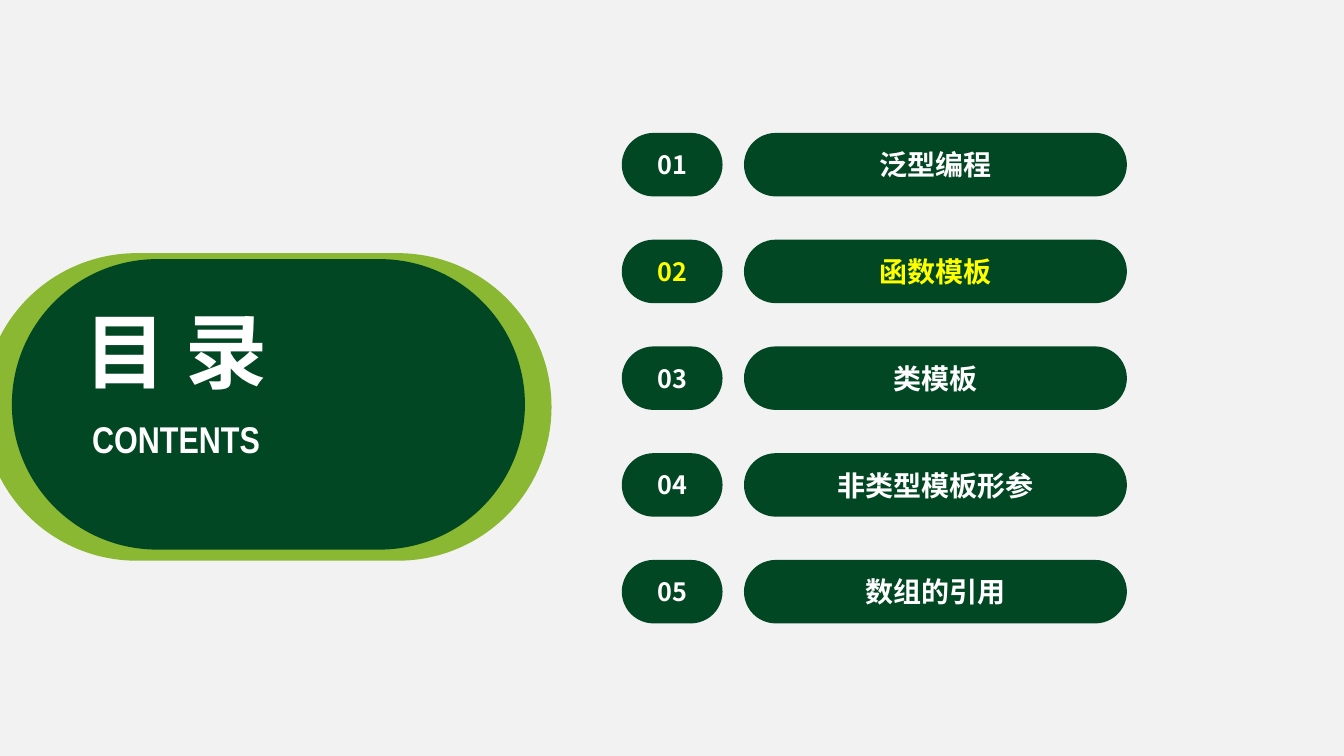
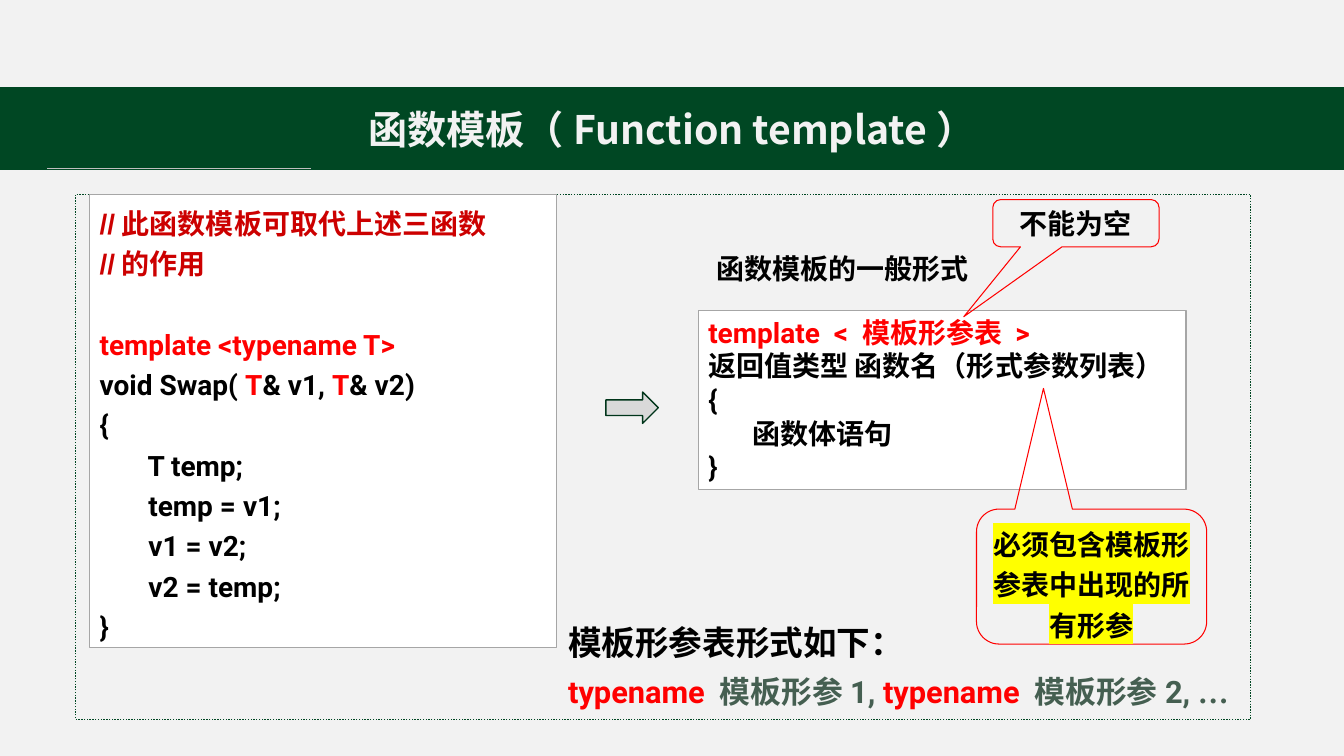
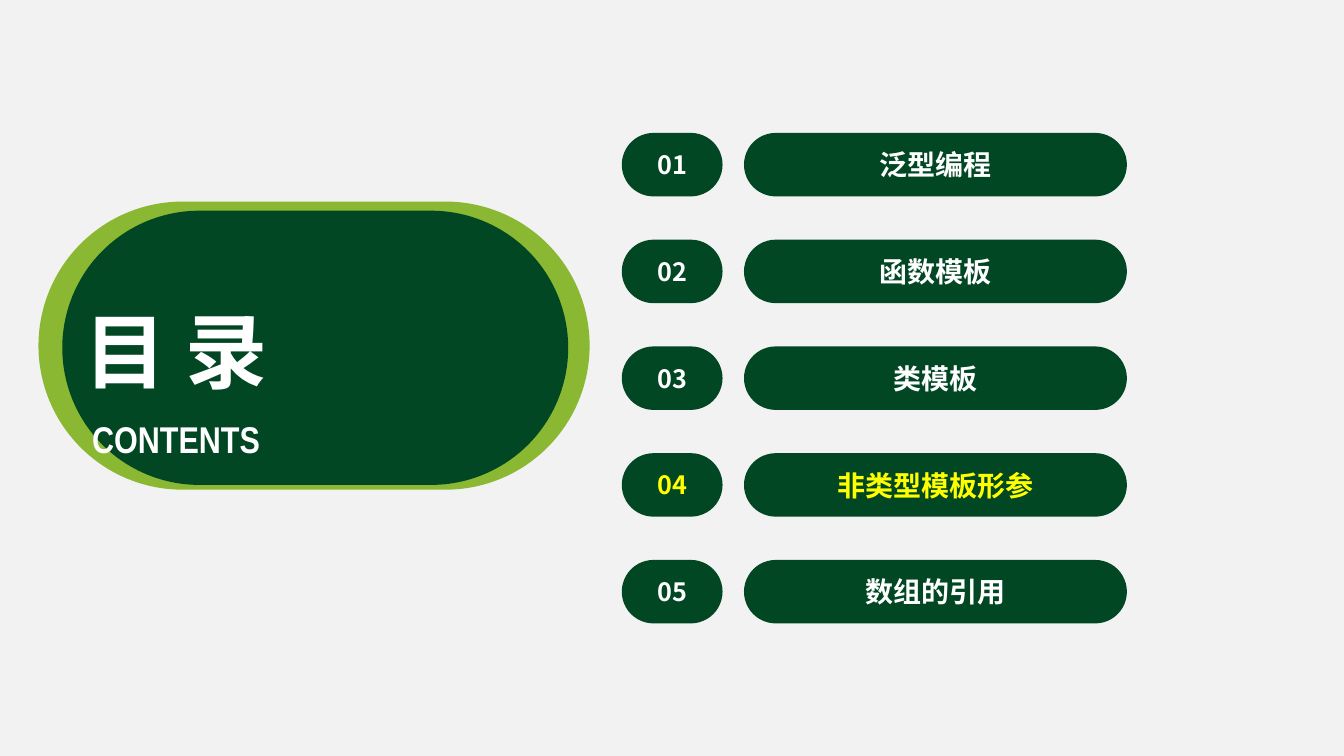
from dataclasses import dataclass

from lxml.etree import SubElement
from pptx import Presentation
from pptx.dml.color import RGBColor
from pptx.enum.dml import MSO_LINE
from pptx.enum.shapes import MSO_CONNECTOR, MSO_SHAPE
from pptx.enum.text import MSO_ANCHOR, MSO_AUTO_SIZE, PP_ALIGN
from pptx.oxml.ns import qn
from pptx.util import Cm, Pt

PAPER, WHITE, BLACK = "F2F2F2", "FFFFFF", "000000"
PILL, BAND, LIME = "014723", "004723", "8AB833"
RED, DARK_RED, YELLOW, SAGE = "FF0000", "CC0000", "FFFF00", "455F51"
GREY = "A6A6A6"
CJK = "Noto Sans CJK SC"
SLIDE_W, SLIDE_H = 33.87, 19.05
TOPICS = ("泛型编程", "函数模板", "类模板", "非类型模板形参", "数组的引用")


@dataclass(frozen=True)
class Box:
    """Position and size in centimetres."""
    x: float
    y: float
    w: float
    h: float

    def lengths(self) -> tuple:
        return Cm(self.x), Cm(self.y), Cm(self.w), Cm(self.h)


@dataclass(frozen=True)
class Run:
    text: str
    color: str = BLACK
    size: float = 20
    font: str = "Roboto"
    highlight: str = ""


@dataclass(frozen=True)
class Para:
    runs: tuple
    before: float = 0


@dataclass(frozen=True)
class Outline:
    color: str
    width: float
    dash: MSO_LINE | None = None


@dataclass(frozen=True)
class Agenda:
    """An agenda slide: the current topic and the two big ovals."""
    current: int
    outer: Box
    inner: Box


AGENDA_FUNCTION = Agenda(2, Box(-0.43, 6.38, 14.33, 7.75), Box(0.3, 6.53, 12.93, 7.32))
AGENDA_NONTYPE = Agenda(4, Box(0.97, 5.08, 13.89, 7.26), Box(1.57, 5.31, 12.75, 6.91))


def rgb(color: str) -> RGBColor:
    return RGBColor.from_string(color)


def line(*runs: Run, before: float = 0) -> Para:
    return Para(runs, before)


def add_run(p, run: Run) -> None:
    r = p.add_run()
    r.text = run.text
    r.font.size = Pt(run.size)
    r.font.bold = True
    r.font.color.rgb = rgb(run.color)
    r.font.name = run.font
    rPr = r.font._element
    SubElement(rPr, qn("a:ea")).set("typeface", CJK)
    if run.highlight:
        mark = SubElement(rPr, qn("a:highlight"))
        SubElement(mark, qn("a:srgbClr")).set("val", run.highlight)
        rPr.find(qn("a:latin")).addprevious(mark)


def write(sp, paras: list, align=PP_ALIGN.LEFT, anchor=MSO_ANCHOR.TOP,
          spacing: float = 1.0, wrap: bool = True) -> None:
    tf = sp.text_frame
    tf.word_wrap = wrap
    tf.auto_size = MSO_AUTO_SIZE.NONE
    tf.vertical_anchor = anchor
    for i, para in enumerate(paras):
        p = tf.add_paragraph() if i else tf.paragraphs[0]
        p.alignment = align
        p.line_spacing = spacing
        if para.before:
            p.space_before = Pt(para.before)
        for run in para.runs:
            add_run(p, run)


def paint(sp, fill: str | None, outline: Outline | None) -> None:
    if fill:
        sp.fill.solid()
        sp.fill.fore_color.rgb = rgb(fill)
    else:
        sp.fill.background()
    if outline:
        sp.line.color.rgb = rgb(outline.color)
        sp.line.width = Pt(outline.width)
        if outline.dash:
            sp.line.dash_style = outline.dash
    else:
        sp.line.fill.background()


def add_shape(slide, kind, box: Box, fill: str | None = None,
              outline: Outline | None = None, adjust: tuple = ()):
    sp = slide.shapes.add_shape(kind, *box.lengths())
    sp.shadow.inherit = False
    paint(sp, fill, outline)
    for i, value in enumerate(adjust):
        sp.adjustments[i] = value
    return sp


def add_pill(slide, box: Box, fill: str = PILL):
    return add_shape(slide, MSO_SHAPE.ROUNDED_RECTANGLE, box, fill, adjust=(0.5,))


def add_callout(slide, box: Box, tip: tuple, run: Run, spacing: float = 1.0) -> None:
    sp = add_shape(slide, MSO_SHAPE.ROUNDED_RECTANGULAR_CALLOUT, box,
                   outline=Outline(RED, 0.75), adjust=(*tip, 0.167))
    write(sp, [line(run)], PP_ALIGN.CENTER, spacing=spacing)


def add_text(slide, box: Box, paras: list, **style) -> None:
    write(slide.shapes.add_textbox(*box.lengths()), paras, **style)


def place_title(slide, box: Box, run: Run, anchor=MSO_ANCHOR.TOP, wrap: bool = True):
    """Fill the title placeholder and bring it in front of the shapes drawn so far."""
    sp = slide.shapes.title
    sp.left, sp.top, sp.width, sp.height = box.lengths()
    slide.shapes._spTree.append(sp._element)
    write(sp, [line(run)], PP_ALIGN.CENTER, anchor, wrap=wrap)
    return sp


def new_slide(prs):
    return prs.slides.add_slide(prs.slide_layouts.get_by_name("Title Only"))


def build_agenda(prs, agenda: Agenda) -> None:
    slide = new_slide(prs)
    add_pill(slide, agenda.outer, LIME)
    add_pill(slide, agenda.inner)
    top, pitch, height = 3.35, 2.69, 1.6
    for number, topic in enumerate(TOPICS, 1):
        y = top + (number - 1) * pitch
        color = YELLOW if number == agenda.current else WHITE
        for x, w, text, size in ((15.67, 2.54, f"{number:02}", 18),
                                 (18.75, 9.65, topic, 20)):
            sp = add_pill(slide, Box(x, y, w, height))
            write(sp, [line(Run(text, color, size, CJK))],
                  PP_ALIGN.CENTER, MSO_ANCHOR.MIDDLE)
    add_text(slide, Box(1.57, 10.36, 5.74, 1.4),
             [line(Run("CONTENTS", WHITE, 26.6, "Arial Narrow"))],
             align=PP_ALIGN.CENTER, wrap=False)
    place_title(slide, Box(1.78, 7.44, 5.31, 2.77),
                Run("目 录", WHITE, 58.6, CJK), wrap=False)


def add_header(slide, title: str) -> None:
    add_shape(slide, MSO_SHAPE.RECTANGLE, Box(0, 0, SLIDE_W, 2.21), PAPER)
    band = place_title(slide, Box(0, 2.21, SLIDE_W, 2.06),
                       Run(title, PAPER, 28, CJK), MSO_ANCHOR.MIDDLE)
    paint(band, BAND, Outline(BAND, 1))
    rule = slide.shapes.add_connector(MSO_CONNECTOR.STRAIGHT,
                                      Cm(1.19), Cm(4.24), Cm(7.85), Cm(4.24))
    rule.line.color.rgb = rgb("BFBFBF")
    rule.line.width = Pt(0.5)
    SubElement(rule._element.spPr, qn("a:effectLst"))


def build_function_template(prs) -> None:
    slide = new_slide(prs)
    add_header(slide, "函数模板（Function template）")
    add_shape(slide, MSO_SHAPE.RECTANGLE, Box(1.9, 4.9, 29.62, 13.23),
              outline=Outline(BAND, 1, MSO_LINE.ROUND_DOT))

    code = add_shape(slide, MSO_SHAPE.RECTANGLE, Box(2.26, 4.9, 11.76, 11.43),
                     WHITE, Outline(GREY, 0.75))
    type_param = Run("T", RED)
    body = ("{", "       T temp;", "       temp = v1;", "       v1 = v2;",
            "       v2 = temp;", "}")
    write(code, [
        line(Run("//此函数模板可取代上述三函数", DARK_RED, font="Arial")),
        line(Run("//的作用", DARK_RED, font="Arial")),
        line(Run("template <typename T>", RED), before=29),
        line(Run("void Swap( "), type_param, Run("& v1, "), type_param, Run("& v2)")),
        *(line(Run(text)) for text in body),
    ], spacing=1.2)

    form = add_shape(slide, MSO_SHAPE.RECTANGLE, Box(17.6, 7.82, 12.29, 4.52),
                     WHITE, Outline(GREY, 0.75))
    form_body = ("返回值类型 函数名（形式参数列表）", "{", "       函数体语句", "}")
    write(form, [line(Run("template  < 模板形参表 >", RED)),
                 *(line(Run(text)) for text in form_body)])

    add_callout(slide, Box(25.02, 5.03, 4.19, 1.19), (-0.675, 1.982), Run("不能为空"))
    add_callout(slide, Box(24.61, 12.83, 5.8, 3.4), (-0.209, -1.395),
                Run("必须包含模板形参表中出现的所有形参", highlight=YELLOW), 1.2)
    add_text(slide, Box(17.81, 6.22, 7.01, 1.12),
             [line(Run("函数模板的一般形式", font="Arial"))])
    add_shape(slide, MSO_SHAPE.RIGHT_ARROW, Box(15.27, 9.88, 1.32, 0.79),
              "D9D9D9", Outline("00351A", 1))

    keyword = Run("typename ", RED, 22)
    add_text(slide, Box(14.07, 15.24, 19.53, 2.69), [
        line(Run("模板形参表形式如下：", size=24)),
        line(keyword, Run("模板形参1, ", SAGE, 22),
             keyword, Run("模板形参2, ", SAGE, 22),
             Run("…", SAGE, 22, "Times New Roman")),
    ], spacing=1.3)


def main() -> None:
    prs = Presentation()
    prs.slide_width, prs.slide_height = Cm(SLIDE_W), Cm(SLIDE_H)
    backdrop = prs.slide_master.background.fill
    backdrop.solid()
    backdrop.fore_color.rgb = rgb(PAPER)
    build_agenda(prs, AGENDA_FUNCTION)
    build_function_template(prs)
    build_agenda(prs, AGENDA_NONTYPE)
    prs.save("out.pptx")


if __name__ == "__main__":
    main()
